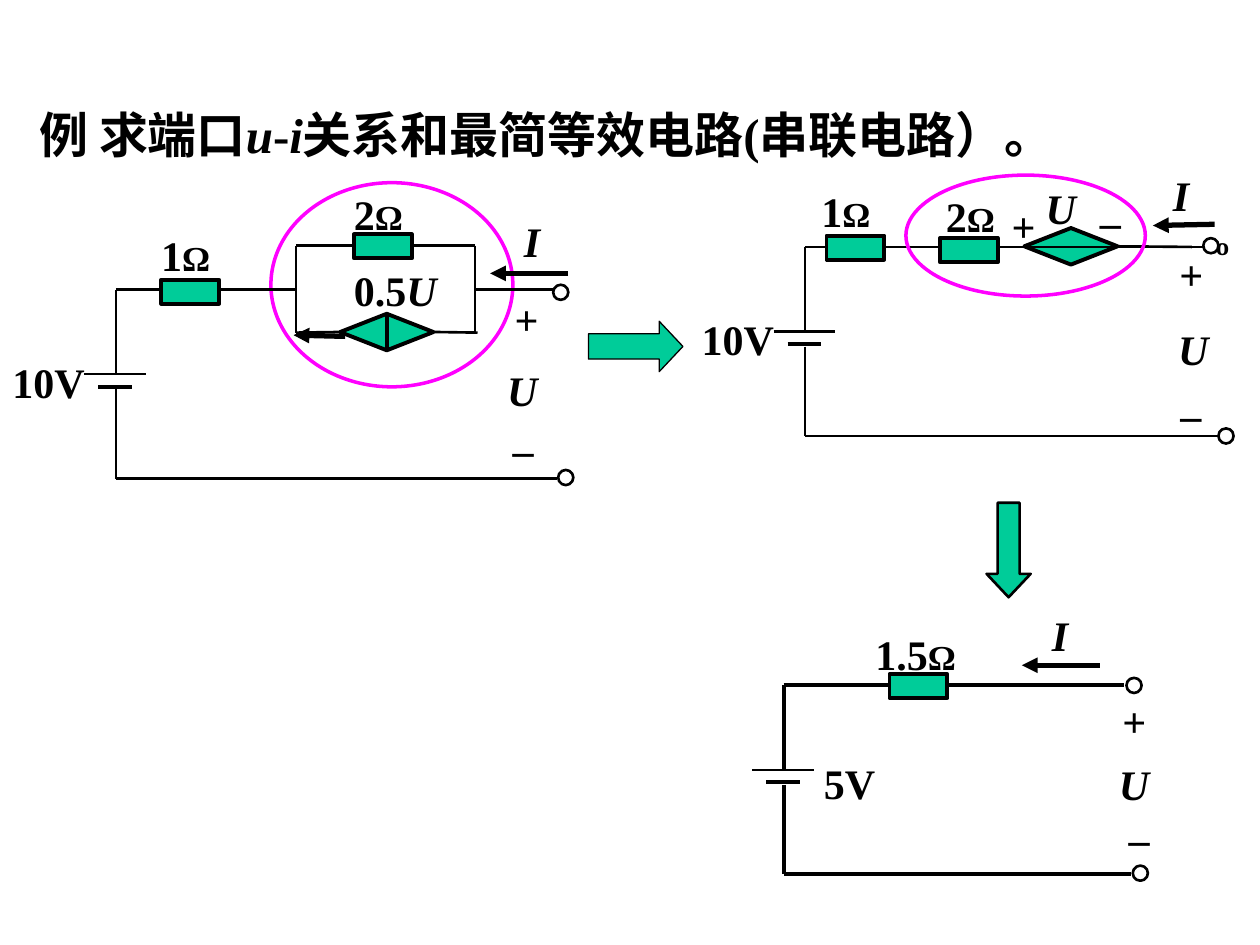
"""Build a slide that simplifies a one-port circuit in two steps."""
from lxml import etree
from pptx import Presentation
from pptx import util as u
from pptx.dml.color import RGBColor
from pptx.enum import shapes as kinds, text
from pptx.oxml.ns import qn

BLACK = RGBColor(0x00, 0x00, 0x00)
WHITE = RGBColor(0xFF, 0xFF, 0xFF)
GREEN = RGBColor(0x00, 0xCC, 0x99)
MAGENTA = RGBColor(0xFF, 0x00, 0xFF)
PRESET = kinds.MSO_SHAPE
FONT = {"name": "Times New Roman", "bold": True}
FRAME = {"word_wrap": True, "auto_size": text.MSO_AUTO_SIZE.SHAPE_TO_FIT_TEXT}


def set_attributes(target, values):
    """Set each named value on the target."""
    for name, value in values.items():
        setattr(target, name, value)


def write_runs(paragraph, runs, size=24):
    """Write (text, format) runs in the slide's font."""
    for words, changes in runs:
        run = paragraph.add_run()
        run.text = words
        set_attributes(run.font, {**FONT, "size": u.Pt(size), **changes})
        run.font.color.rgb = BLACK


def add_title(slide, runs):
    """Move and format the title placeholder."""
    title = slide.shapes.title
    place = {"left": 0.21, "top": 0.78, "width": 8.15, "height": 0.57}
    set_attributes(title, {name: u.Inches(value) for name, value in place.items()})
    frame = title.text_frame
    set_attributes(frame, {"word_wrap": True, "auto_size": text.MSO_AUTO_SIZE.NONE,
                           "vertical_anchor": text.MSO_ANCHOR.TOP})
    frame.paragraphs[0].alignment = text.PP_ALIGN.LEFT
    write_runs(frame.paragraphs[0], runs, 28)


def add_label(shapes, left, top, width, runs, centred=False):
    """Add a one-line label."""
    box = shapes.add_textbox(*map(u.Inches, (left, top, width, 0.5)))
    frame = box.text_frame
    set_attributes(frame, FRAME)
    if centred:
        frame.vertical_anchor = text.MSO_ANCHOR.MIDDLE
        frame.paragraphs[0].alignment = text.PP_ALIGN.CENTER
    write_runs(frame.paragraphs[0], runs)


def add_symbol(shapes, left, top, width, symbol, centred=True):
    """Add a one-run label, with letters in italics."""
    add_label(shapes, left, top, width, [(symbol, {"italic": symbol in "UI"})], centred)


def add_ohms(shapes, left, top, width, value):
    """Add a resistance label with a smaller unit."""
    add_label(shapes, left, top, width, [(value, {}), ("Ω", {"size": u.Pt(20)})])


def add_preset(shapes, kind, place, fill, line=BLACK, weight=2.25):
    """Add a preset shape, unfilled when fill is None."""
    shape = shapes.add_shape(kind, *map(u.Inches, place))
    shape.shadow.inherit = False
    if fill is None:
        shape.fill.background()
    else:
        shape.fill.solid()
        shape.fill.fore_color.rgb = fill
    shape.line.color.rgb = line
    shape.line.width = u.Pt(weight)
    return shape


def add_block_arrow(shapes, kind, place, head, weight):
    """Add a block arrow that leads to the next circuit."""
    arrow = add_preset(shapes, kind, place, GREEN, weight=weight)
    arrow.adjustments[1] = head


def add_resistor(shapes, left, top):
    """Add a resistor body."""
    add_preset(shapes, PRESET.RECTANGLE, (left, top, 0.46, 0.19), GREEN)


def add_controlled_source(shapes, left, top):
    """Add the diamond of a controlled source."""
    return add_preset(shapes, PRESET.DIAMOND, (left, top, 0.74, 0.29), GREEN)


def add_terminal(shapes, left, top):
    """Add an open terminal."""
    add_preset(shapes, PRESET.OVAL, (left, top, 0.12, 0.12), WHITE, weight=1.5)


def add_highlight(shapes, *place):
    """Ring the part that is transformed."""
    add_preset(shapes, PRESET.OVAL, place, None, MAGENTA, 2)


def add_wire(shapes, x1, y1, x2, y2, weight=1.5):
    """Add a straight wire."""
    wire = shapes.add_connector(kinds.MSO_CONNECTOR.STRAIGHT,
                                *map(u.Inches, (x1, y1, x2, y2)))
    wire.line.color.rgb = BLACK
    wire.line.width = u.Pt(weight)
    etree.SubElement(wire._element.spPr, qn("a:effectLst"))
    return wire


def add_current(shapes, x1, y1, x2, y2):
    """Add a current arrow."""
    wire = add_wire(shapes, x1, y1, x2, y2, 3)
    etree.SubElement(wire.line._get_or_add_ln(), qn("a:tailEnd"), type="triangle")


def add_battery_loop(shapes, x, top, top_end, bottom_end, weight=1.5):
    """Add a battery with its vertical leads and both rails."""
    plate, bottom = top + 0.67, top + 1.5
    add_wire(shapes, x - 0.25, plate, x + 0.24, plate)
    add_wire(shapes, x - 0.14, plate + 0.1, x + 0.13, plate + 0.1, 2.25)
    add_wire(shapes, x, plate + 0.12, x, bottom, weight)
    add_wire(shapes, x, plate, x, top, weight)
    add_wire(shapes, x, top, top_end, top, weight)
    add_wire(shapes, x, bottom, bottom_end, bottom, weight)


def draw_given_circuit(shapes):
    """Draw the circuit with a controlled current source."""
    add_battery_loop(shapes, 0.92, 2.3, 2.35, 4.42)
    add_current(shapes, 2.74, 2.67, 2.33, 2.66)
    diamond = add_controlled_source(shapes, 2.7, 2.49)
    add_wire(shapes, 2.35, 2.64, 2.7, 2.64).end_connect(diamond, 1)
    add_wire(shapes, 3.44, 2.64, 3.79, 2.64).begin_connect(diamond, 3)
    bar = add_wire(shapes, 3.07, 2.49, 3.07, 2.78, 2.25)
    bar.begin_connect(diamond, 0)
    bar.end_connect(diamond, 2)
    add_wire(shapes, 2.35, 1.95, 3.77, 1.95)
    for x in (2.35, 3.77):
        add_wire(shapes, x, 1.95, x, 2.64)
    add_wire(shapes, 3.77, 2.3, 4.42, 2.3)
    add_ohms(shapes, 1.18, 1.77, 1.08, "1")
    add_ohms(shapes, 2.71, 1.45, 1.08, "2")
    add_symbol(shapes, 0, 2.78, 0.83, "10V", False)
    add_label(shapes, 2.71, 2.05, 0.92, [("0.5", {}), ("U", {"italic": True})])
    add_current(shapes, 4.51, 2.17, 3.89, 2.17)
    add_symbol(shapes, 3.95, 2.28, 0.46, "+")
    add_symbol(shapes, 3.97, 3.2, 0.27, "_")
    add_symbol(shapes, 3.84, 2.84, 0.61, "U")
    add_symbol(shapes, 4.06, 1.66, 0.22, "I", False)
    add_resistor(shapes, 1.28, 2.22)
    add_resistor(shapes, 2.81, 1.86)
    add_terminal(shapes, 4.43, 3.73)
    add_terminal(shapes, 4.39, 2.26)


def draw_series_circuit(shapes):
    """Draw the circuit with a controlled voltage source."""
    diamond = add_controlled_source(shapes, 8.13, 1.81)
    add_battery_loop(shapes, 6.39, 1.96, 9.6, 9.69)
    add_wire(shapes, 8.87, 1.96, 9.46, 1.96).begin_connect(diamond, 3)
    add_symbol(shapes, 5.47, 2.44, 0.92, "10V", False)
    add_symbol(shapes, 8.2, 1.4, 0.53, "U", False)
    add_ohms(shapes, 6.42, 1.42, 1, "1")
    add_ohms(shapes, 7.41, 1.46, 1, "2")
    add_symbol(shapes, 9.19, 1.92, 0.53, "+")
    add_symbol(shapes, 9.27, 2.92, 0.25, "_")
    add_symbol(shapes, 9.19, 2.52, 0.56, "U")
    add_symbol(shapes, 7.93, 1.54, 0.44, "+", False)
    add_symbol(shapes, 8.63, 1.39, 0.25, "_")
    add_symbol(shapes, 9.21, 1.3, 0.33, "I", False)
    add_symbol(shapes, 9.55, 1.77, 0.2, "º")
    add_current(shapes, 9.64, 1.78, 9.15, 1.79)
    add_resistor(shapes, 6.56, 1.87)
    add_resistor(shapes, 7.46, 1.89)
    add_terminal(shapes, 9.67, 3.4)
    add_terminal(shapes, 9.55, 1.89)
    add_highlight(shapes, 7.19, 1.39, 1.9, 0.96)


def draw_simplest_circuit(shapes):
    """Draw the final circuit of one battery and one resistor."""
    add_battery_loop(shapes, 6.22, 5.44, 8.92, 8.98, 2.25)
    add_ohms(shapes, 6.85, 4.94, 1.16, "1.5")
    add_symbol(shapes, 6.44, 5.96, 0.83, "5V", False)
    add_symbol(shapes, 8.25, 4.79, 0.22, "I", False)
    add_current(shapes, 8.73, 5.28, 8.11, 5.28)
    add_symbol(shapes, 8.81, 5.47, 0.22, "+")
    add_symbol(shapes, 8.86, 6.29, 0.27, "_")
    add_symbol(shapes, 8.7, 5.97, 0.6, "U")
    add_resistor(shapes, 7.06, 5.35)
    add_terminal(shapes, 8.94, 5.38)
    add_terminal(shapes, 8.99, 6.87)


def main():
    """Build and save the slide."""
    presentation = Presentation()
    presentation.slide_width, presentation.slide_height = u.Inches(10), u.Inches(7.5)
    slide = presentation.slides.add_slide(presentation.slide_layouts[5])
    add_title(slide, [("例 求端口", {}), ("u", {"italic": True}), ("-", {}),
                      ("i", {"italic": True}), ("关系和最简等效电路(串联电路）。", {})])
    add_block_arrow(slide.shapes, PRESET.RIGHT_ARROW, (4.67, 2.55, 0.75, 0.4), 0.47, 0.75)
    add_block_arrow(slide.shapes, PRESET.DOWN_ARROW, (7.83, 3.99, 0.35, 0.75), 0.53, 1.5)
    add_highlight(slide.shapes, 2.15, 1.45, 1.92, 1.62)
    for draw in (draw_simplest_circuit, draw_given_circuit, draw_series_circuit):
        draw(slide.shapes.add_group_shape().shapes)
    presentation.save("out.pptx")


if __name__ == "__main__":
    main()
